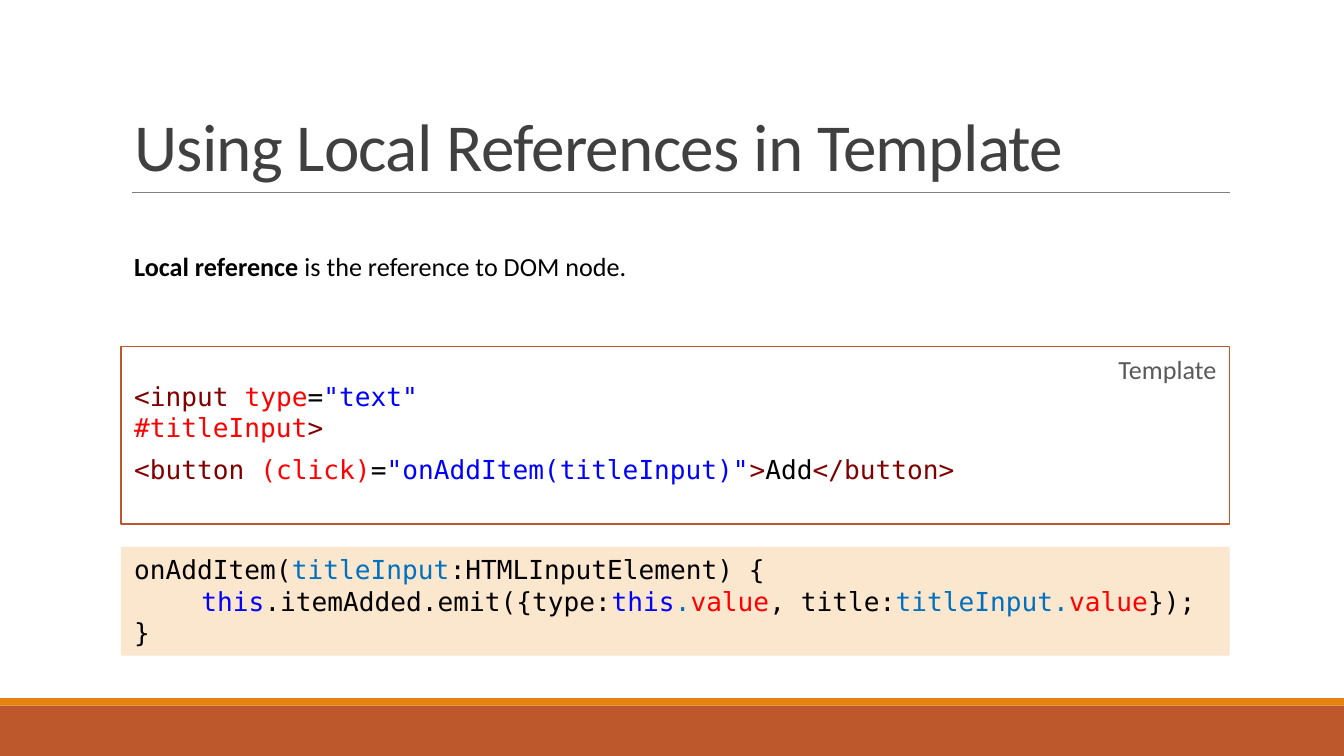
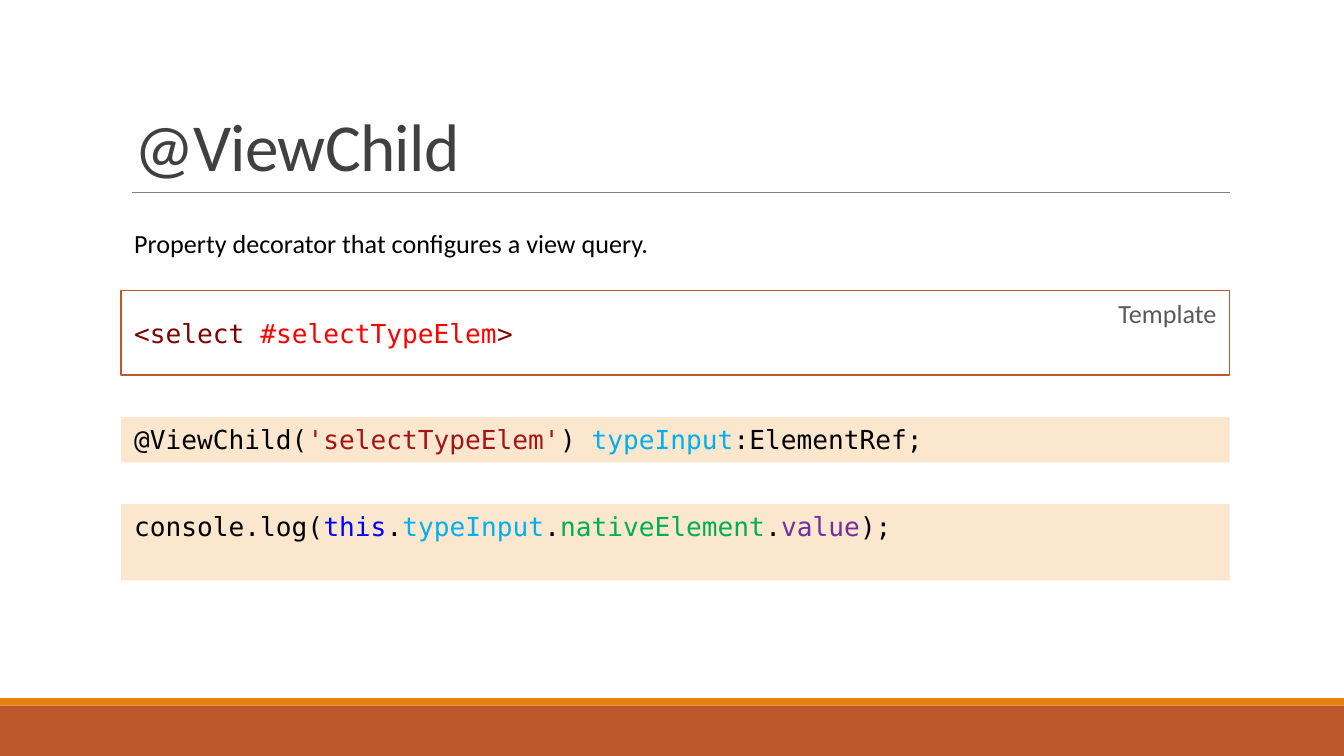
from typing import NamedTuple

from lxml import etree
from pptx import Presentation
from pptx import util as u
from pptx.dml import color
from pptx.enum import shapes, text
from pptx.oxml import ns

SANS, MONO = "Calibri", "DejaVu Sans Mono"
BLACK, TITLE_GREY, LABEL_GREY, RULE_GREY = "000000", "404040", "595959", "808080"
RUST, ORANGE, SAND = "BD582C", "E48312", "FBE6CE"
MAROON, RED, BLUE, STRING_RED = "800000", "FF0000", "0000FF", "A31515"
STEEL, SKY, GREEN, PURPLE = "0070C0", "00B0F0", "00B050", "7030A0"

PAGE_WIDTH, PAGE_HEIGHT = 720, 405
LEFT, WIDTH = 64.8, 594
BODY_SIZE, TITLE_SIZE = 14, 36


class Box(NamedTuple):
    left: float
    top: float
    width: float
    height: float

    def lengths(self):
        return [u.Pt(value) for value in self]


def rgb(hex_code):
    return color.RGBColor.from_string(hex_code)


def column(top, height, width=WIDTH):
    """Box that starts at the left edge of the content column."""
    return Box(LEFT, top, width, height)


def add_rect(page, box, fill=None, line=None):
    rect = page.shapes.add_shape(shapes.MSO_SHAPE.RECTANGLE, *box.lengths())
    rect.shadow.inherit = False
    if fill:
        rect.fill.solid()
        rect.fill.fore_color.rgb = rgb(fill)
    else:
        rect.fill.background()
    if line:
        rect.line.color.rgb = rgb(line)
        rect.line.width = u.Pt(0.75)
    else:
        rect.line.fill.background()
    return rect


def write(shape, lines, font, size=BODY_SIZE, anchor=text.MSO_ANCHOR.TOP,
          align=text.PP_ALIGN.LEFT, spacing=None):
    """Fill a shape with lines, each a list of (words, colour) spans."""
    frame = shape.text_frame
    frame.word_wrap = True
    frame.vertical_anchor = anchor
    for number, spans in enumerate(lines):
        para = frame.add_paragraph() if number else frame.paragraphs[0]
        para.alignment = align
        if spacing:
            para.line_spacing = spacing
        for words, hex_code in spans:
            span = para.add_run()
            span.text = words
            span.font.name = font
            span.font.size = u.Pt(size)
            span.font.color.rgb = rgb(hex_code)
    return frame


def add_text(page, box, spans, font, **style):
    return write(page.shapes.add_textbox(*box.lengths()), [spans], font, **style)


def add_footer(page, box):
    stripe = 4
    add_rect(page, box._replace(top=box.top + stripe, height=box.height - stripe), RUST)
    add_rect(page, box._replace(height=stripe), ORANGE)


def add_title(page, box, title):
    bottom = u.Pt(box.top + box.height)
    rule = page.shapes.add_connector(
        shapes.MSO_CONNECTOR.STRAIGHT,
        u.Pt(box.left + 6), bottom, u.Pt(box.left + box.width), bottom)
    rule.line.color.rgb = rgb(RULE_GREY)
    rule.line.width = u.Pt(0.5)
    etree.SubElement(rule._element.spPr, ns.qn("a:effectLst"))
    frame = add_text(page, box, [(title, TITLE_GREY)], SANS, size=TITLE_SIZE,
                     anchor=text.MSO_ANCHOR.BOTTOM, spacing=0.85)
    frame.paragraphs[0].runs[0].font._element.set("spc", "-40")


def add_intro(page, box, *spans):
    frame = add_text(page, box, [(words, BLACK) for words in spans], SANS, spacing=1.07)
    frame.paragraphs[0].space_after = u.Pt(8)
    return frame


def add_template_frame(page, box):
    write(add_rect(page, box, line=RUST), [[("Template", LABEL_GREY)]], SANS,
          align=text.PP_ALIGN.RIGHT)


def add_code_panel(page, box, *lines):
    return write(add_rect(page, box, SAND), lines, MONO)


def new_page(deck, title):
    page = deck.slides.add_slide(deck.slide_layouts[6])
    add_footer(page, Box(0, 374, PAGE_WIDTH, PAGE_HEIGHT - 374))
    add_title(page, column(17, 86), title)
    return page


def build_local_references(deck):
    page = new_page(deck, "Using Local References in Template")
    intro = add_intro(page, column(129.6, 25), "Local reference ",
                      "is the reference to DOM node.")
    intro.paragraphs[0].runs[0].font.bold = True

    frame_box = column(185.7, 95)
    add_text(page, column(frame_box.top + 14.5, 24.5, 272),
             [("<input ", MAROON), ("type", RED), ("=", BLACK), ('"text" ', BLUE),
              ("#titleInput", RED), (">", MAROON)], MONO)
    add_text(page, column(frame_box.top + 56.2, 21.6, 535),
             [("<button ", MAROON), ("(click)", RED), ("=", BLACK),
              ('"onAddItem(titleInput)"', BLUE), (">", MAROON), ("Add", BLACK),
              ("</button>", MAROON)], MONO, spacing=u.Pt(14.2))

    code = add_code_panel(
        page, column(293, 58.3),
        [("onAddItem(", BLACK), ("titleInput", STEEL), (":HTMLInputElement) {", BLACK)],
        [("this", BLUE), (".itemAdded.emit({type:", BLACK), ("this", BLUE),
         (".", STEEL), ("value", RED), (", title:", BLACK), ("titleInput.", STEEL),
         ("value", RED), ("});", BLACK)],
        [("}", BLACK)])
    code.paragraphs[1]._p.get_or_add_pPr().set("marL", str(u.Pt(36)))
    add_template_frame(page, frame_box)


def build_view_child(deck):
    page = new_page(deck, "@ViewChild")
    add_intro(page, column(117, 24.5), "Property decorator that configures a view query.")

    frame_box = column(155.7, 45.3)
    add_template_frame(page, frame_box)
    add_text(page, column(frame_box.top + 10.8, 24.5, 360),
             [("<select ", MAROON), ("#selectTypeElem", RED), (">", MAROON)], MONO)

    add_code_panel(
        page, column(223.5, 24.3),
        [("@ViewChild(", BLACK), ("'selectTypeElem'", STRING_RED), (") ", BLACK),
         ("typeInput", SKY), (":ElementRef;", BLACK)])
    add_code_panel(
        page, column(270, 41),
        [("console.log(", BLACK), ("this", BLUE), (".", BLACK), ("typeInput", SKY),
         (".", BLACK), ("nativeElement", GREEN), (".", BLACK), ("value", PURPLE),
         (");", BLACK)])


def main():
    deck = Presentation()
    deck.slide_width, deck.slide_height = u.Pt(PAGE_WIDTH), u.Pt(PAGE_HEIGHT)
    build_local_references(deck)
    build_view_child(deck)
    deck.save("out.pptx")


if __name__ == "__main__":
    main()
